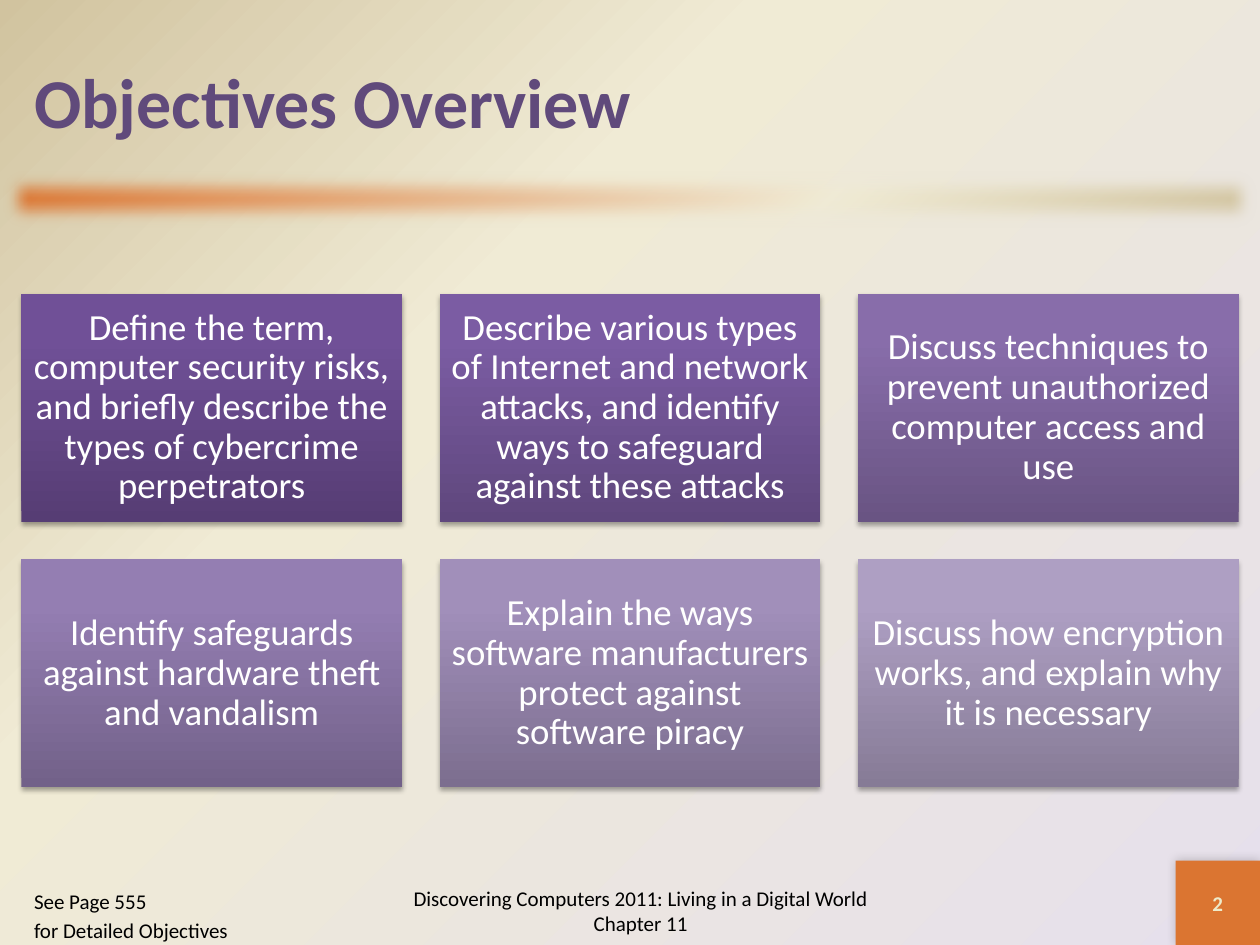
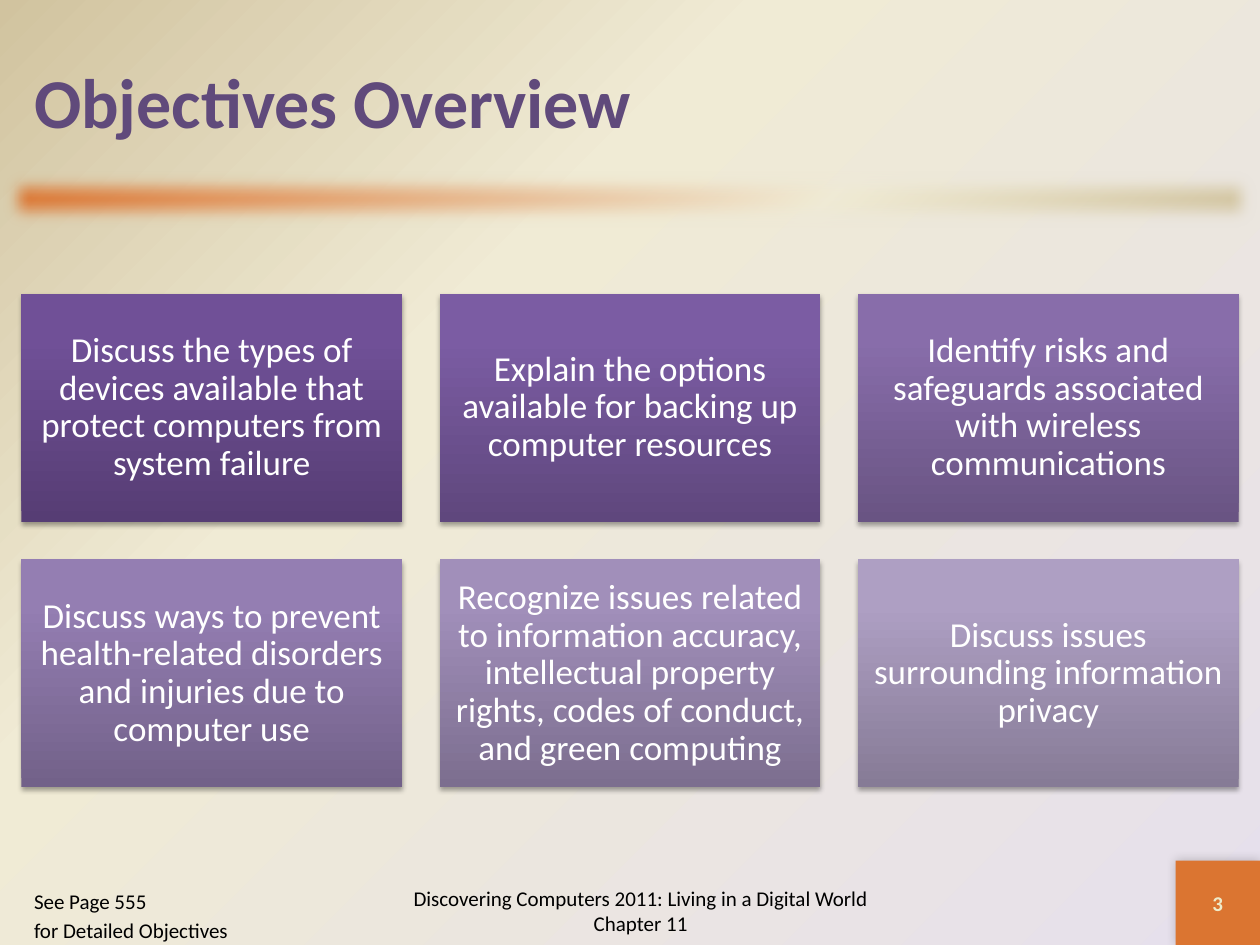
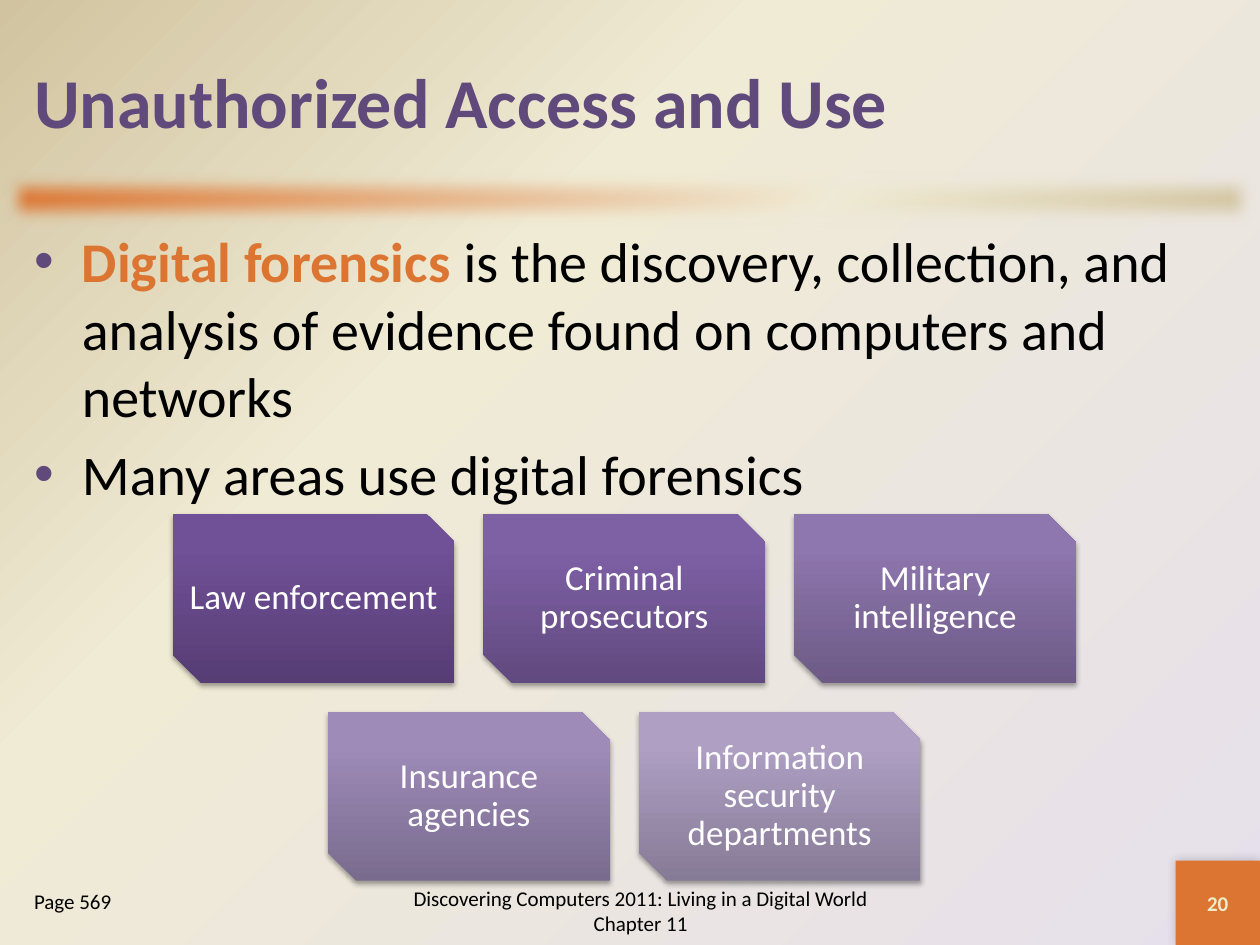
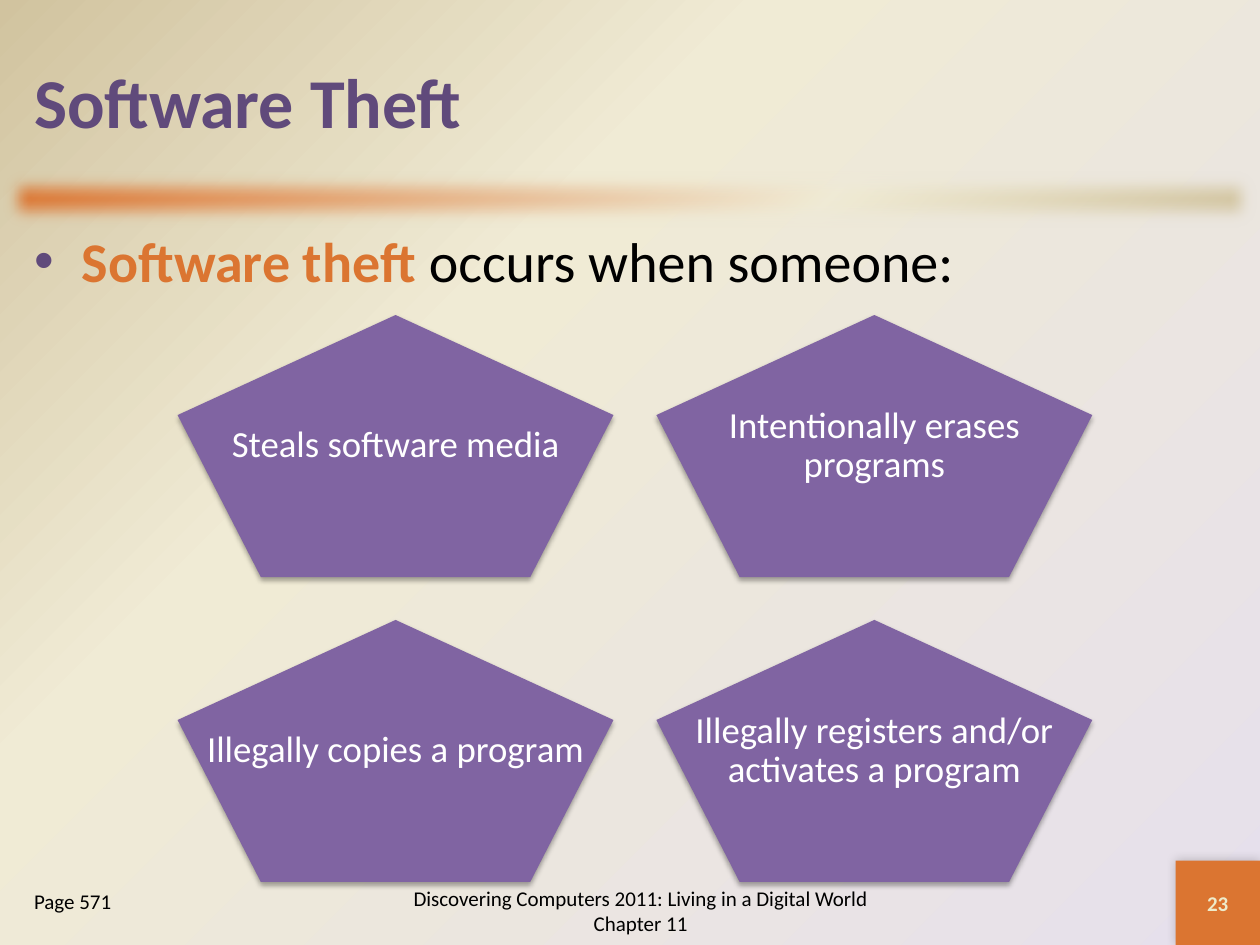
from pptx import Presentation
from pptx.dml.color import RGBColor
from pptx.enum.shapes import MSO_SHAPE
from pptx.enum.text import MSO_ANCHOR, MSO_AUTO_SIZE, PP_ALIGN
from pptx.oxml import parse_xml
from pptx.oxml.ns import nsdecls, qn
from pptx.util import Inches, Pt

RECT, SNIPPED, PENTAGON = MSO_SHAPE.RECTANGLE, MSO_SHAPE.SNIP_2_DIAG_RECTANGLE, MSO_SHAPE.REGULAR_PENTAGON
LEFT, CENTER = PP_ALIGN.LEFT, PP_ALIGN.CENTER
TOP, MIDDLE = MSO_ANCHOR.TOP, MSO_ANCHOR.MIDDLE
NO_FIT = MSO_AUTO_SIZE.NONE

COLORS = {
    "purple": "604A7B", "violet": "8064A2", "orange": "DB7531",
    "lavender": "E6E0EC", "cream": "F0EBD5", "sand": "D1C39F",
    "number": "EEEBCA", "black": "000000", "white": "FFFFFF",
}
# Card gradients, bottom to top
FIRST, LAST = ("563D74", "705097", "704F99"), ("867B96", "AE9FC3", "AE9FC4")
SHADES = {
    "objectives": [FIRST, ("5F477D", "7B5CA3", "7C5BA5"), ("695483", "886DAA", "886DAC"),
                   ("726189", "947EB2", "957EB4"), ("7C6E8F", "A18FBA", "A18FBC"), LAST],
    "areas": [FIRST, ("614A7F", "7E60A5", "7F60A7"), ("6D5B86", "8E76AE", "8E75B0"),
              ("796B8E", "9E8BB8", "9E8BBA"), LAST],
}
FONT = "Calibri"
STYLES = {
    "title": {"size": Pt(40), "bold": True, "color": "purple"},
    "term": {"size": Pt(32), "bold": True, "color": "orange"},
    "body": {"size": Pt(32), "bold": False, "color": "black"},
    "small": {"size": Pt(12), "bold": False, "color": "black"},
    "number": {"size": Pt(12), "bold": True, "color": "number"},
    "card21": {"size": Pt(21), "bold": False, "color": "white"},
    "card20": {"size": Pt(20), "bold": False, "color": "white"},
}

# Boxes: left, top, width, height
TITLE_BOX = (0.17, 0.17, 9.67, 1.25)
BAND_BOX = (0, 1.33, 10, 0.5)
BODY_BOX = (0.17, 1.75, 9.67, 5.08)
FOOTER_BOX = (3, 6.95, 4.17, 0.55)
NUMBER_BOX = (9.33, 6.83, 0.67, 0.67)
PAGE_BOX = (0.17, 7, 1.83, 0.5)
OBJECTIVES_BOX = (0.17, 2.33, 9.66, 3.92)
AREAS_BOX = (1.37, 4.08, 7.17, 2.91)
THEFT_BOX = (1.41, 2.5, 7.26, 4.5)

FOOTER = "Discovering Computers 2011: Living in a Digital World Chapter 11"
OBJECTIVES_PAGE = ["See Page 555", "for Detailed Objectives"]


def inches(box):
    return [Inches(v) for v in box]


def set_gradient(fill, root, stops, direction):
    """Fill with (position, hex) stops; direction is the a:lin or a:path element."""
    fill.gradient()
    gs = "".join(f'<a:gs pos="{pos * 1000}"><a:srgbClr val="{c}"/></a:gs>' for pos, c in stops)
    new = parse_xml(f'<a:gradFill {nsdecls("a")} rotWithShape="1"><a:gsLst>{gs}</a:gsLst>{direction}</a:gradFill>')
    old = root.find(".//" + qn("a:gradFill"))
    old.getparent().replace(old, new)


def linear(angle):
    return f'<a:lin ang="{angle * 60000}" scaled="0"/>'


def add_effect(sp, xml):
    sp.shadow.inherit = False
    sp._element.spPr.find(qn("a:effectLst")).append(parse_xml(xml))


def add_shadow(sp, alpha, blur, dist, angle):
    add_effect(sp, f'<a:outerShdw {nsdecls("a")} blurRad="{Pt(blur)}" dist="{Pt(dist)}" dir="{angle * 60000}" '
                   f'rotWithShape="0"><a:srgbClr val="{COLORS["black"]}"><a:alpha val="{alpha * 1000}"/>'
                   '</a:srgbClr></a:outerShdw>')


def add_shape(s, kind, box, color=None):
    sp = s.shapes.add_shape(kind, *inches(box))
    sp.line.fill.background()
    if color:
        sp.fill.solid()
        sp.fill.fore_color.rgb = RGBColor.from_string(COLORS[color])
    return sp


def add_run(p, text, style):
    r = p.add_run()
    r.text = text
    r.font.name = FONT
    for name, value in STYLES[style].items():
        if name == "color":
            r.font.color.rgb = RGBColor.from_string(COLORS[value])
        else:
            setattr(r.font, name, value)


def add_label(s, box, text, style, inset=None, spacing=None):
    """Centred one-paragraph text box."""
    tf = s.shapes.add_textbox(*inches(box)).text_frame
    tf.word_wrap, tf.vertical_anchor = True, MIDDLE
    if inset is not None:
        for side in ("left", "top", "right", "bottom"):
            setattr(tf, f"margin_{side}", Inches(inset))
    p = tf.paragraphs[0]
    p.alignment, p.line_spacing = CENTER, spacing
    add_run(p, text, style)


def place(ph, box, anchor):
    ph.left, ph.top, ph.width, ph.height = inches(box)
    tf = ph.text_frame
    tf.word_wrap, tf.auto_size, tf.vertical_anchor = True, NO_FIT, anchor
    return tf


def fill_title(ph, text):
    p = place(ph, TITLE_BOX, MIDDLE).paragraphs[0]
    p.alignment = LEFT
    add_run(p, text, "title")


def fill_list(ph, box, items, bullets):
    """Each item is a list of (text, style) runs."""
    tf = place(ph, box, TOP)
    for i, runs in enumerate(items):
        p = tf.add_paragraph() if i else tf.paragraphs[0]
        pPr = p._p.get_or_add_pPr()
        pPr.set("marL", str(Inches(0.38)))
        pPr.set("indent", str(Inches(-0.38)))
        if bullets:
            pPr.append(parse_xml(f'<a:buClr {nsdecls("a")}><a:srgbClr val="{COLORS["purple"]}"/></a:buClr>'))
            pPr.append(parse_xml(f'<a:buChar {nsdecls("a")} char="•"/>'))
        else:
            pPr.append(parse_xml(f'<a:buNone {nsdecls("a")}/>'))
        size = STYLES[runs[0][1]]["size"].pt
        p.space_before = Pt(0.2 * size if i else 0)
        for text, style in runs:
            add_run(p, text, style)


def draw_cards(s, box, texts, cols, gap, kind, style, inset, shades=None):
    """Grid of cards filling the box, with a short last row centred."""
    left, top, width, height = box
    rows = -(-len(texts) // cols)
    w = (width - (cols - 1) * gap) / cols
    h = (height - (rows - 1) * gap) / rows
    for i, text in enumerate(texts):
        row, col = divmod(i, cols)
        missing = cols - min(cols, len(texts) - row * cols)
        card = (left + (col + missing / 2) * (w + gap), top + row * (h + gap), w, h)
        sp = add_shape(s, kind, card, None if shades else "violet")
        if shades:
            set_gradient(sp.fill, sp._element.spPr, zip((0, 80, 100), shades[i]), linear(270))
        add_shadow(sp, 35, 3.1, 1.8, 90)
        add_label(s, card, text, style, inset, 0.9)


def decorate_master(prs, s):
    """Background, band and number square, moved from slide s to the master."""
    master = prs.slide_master
    tail = [(65, COLORS["cream"]), (100, COLORS["sand"])]
    set_gradient(master.background.fill, master.element, [(0, COLORS["lavender"])] + tail,
                 '<a:path path="circle"><a:fillToRect l="100000" t="100000"/></a:path>')
    band = add_shape(s, RECT, BAND_BOX)
    set_gradient(band.fill, band._element.spPr, [(0, COLORS["orange"])] + tail, linear(45))
    add_effect(band, f'<a:softEdge {nsdecls("a")} rad="{Pt(10)}"/>')
    square = add_shape(s, RECT, NUMBER_BOX, "orange")
    add_shadow(square, 20, 6, 0, 225)
    for sp in (square, band):
        master.shapes._spTree.insert(2, sp._element)


def add_base_slide(prs, title, number, page, items=None):
    """Title, optional bullet list, footer, slide number and page reference."""
    s = prs.slides.add_slide(prs.slide_layouts[3 if items else 1])
    heading, *bodies = s.placeholders
    fill_title(heading, title)
    if items:
        fill_list(bodies[0], BODY_BOX, items, True)
    fill_list(bodies[-1], PAGE_BOX, [[(line, "small")] for line in page], False)
    add_label(s, FOOTER_BOX, FOOTER, "small")
    add_label(s, NUMBER_BOX, str(number), "number")
    return s


def objectives_slide(prs, number, texts, style, inset):
    s = add_base_slide(prs, "Objectives Overview", number, OBJECTIVES_PAGE)
    draw_cards(s, OBJECTIVES_BOX, texts, 3, 0.3, RECT, style, inset, SHADES["objectives"])
    return s


def forensics_slide(prs):
    s = add_base_slide(prs, "Unauthorized Access and Use", 20, ["Page 569"], [
        [("Digital forensics ", "term"),
         ("is the discovery, collection, and analysis of evidence found on computers and networks", "body")],
        [("Many areas use digital forensics", "body")],
    ])
    areas = ["Law enforcement", "Criminal prosecutors", "Military intelligence",
             "Insurance agencies", "Information security departments"]
    draw_cards(s, AREAS_BOX, areas, 3, 0.23, SNIPPED, "card20", 0.08, SHADES["areas"])


def theft_slide(prs):
    s = add_base_slide(prs, "Software Theft", 23, ["Page 571"],
                       [[("Software theft", "term"), (" occurs when someone:", "body")]])
    acts = ["Steals software media", "Intentionally erases programs",
            "Illegally copies a program", "Illegally registers and/or activates a program"]
    draw_cards(s, THEFT_BOX, acts, 2, 0.34, PENTAGON, "card21", 0.09)


def main():
    prs = Presentation()
    prs.slide_width, prs.slide_height = Inches(10), Inches(7.5)
    s = objectives_slide(prs, 2, [
        "Define the term, computer security risks, and briefly describe the types of cybercrime perpetrators",
        "Describe various types of Internet and network attacks, and identify ways to safeguard against these attacks",
        "Discuss techniques to prevent unauthorized computer access and use",
        "Identify safeguards against hardware theft and vandalism",
        "Explain the ways software manufacturers protect against software piracy",
        "Discuss how encryption works, and explain why it is necessary",
    ], "card21", 0.09)
    decorate_master(prs, s)
    objectives_slide(prs, 3, [
        "Discuss the types of devices available that protect computers from system failure",
        "Explain the options available for backing up computer resources",
        "Identify risks and safeguards associated with wireless communications",
        "Discuss ways to prevent health-related disorders and injuries due to computer use",
        "Recognize issues related to information accuracy, intellectual property rights, "
        "codes of conduct, and green computing",
        "Discuss issues surrounding information privacy",
    ], "card20", 0.08)
    forensics_slide(prs)
    theft_slide(prs)
    prs.save("out.pptx")


if __name__ == "__main__":
    main()
